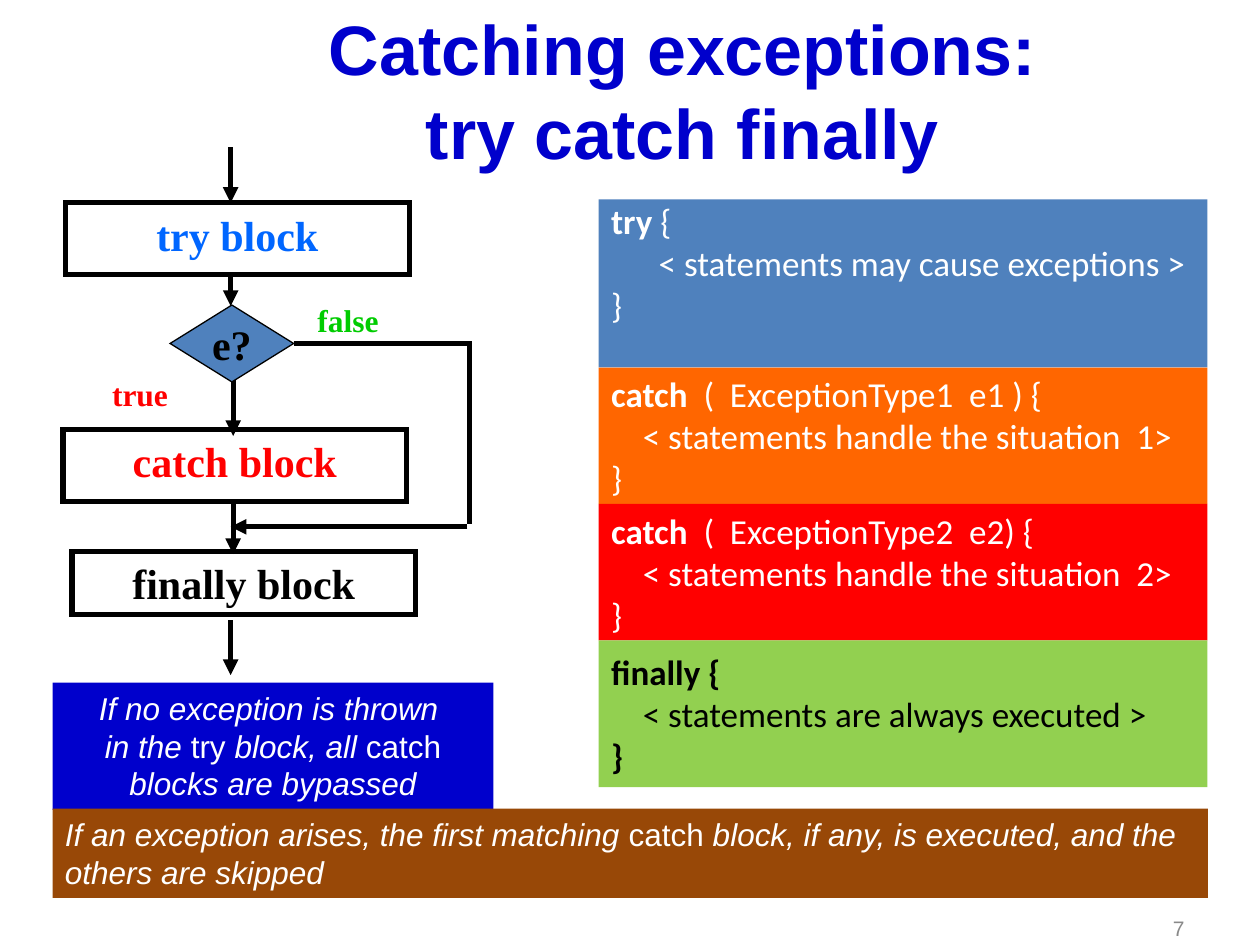
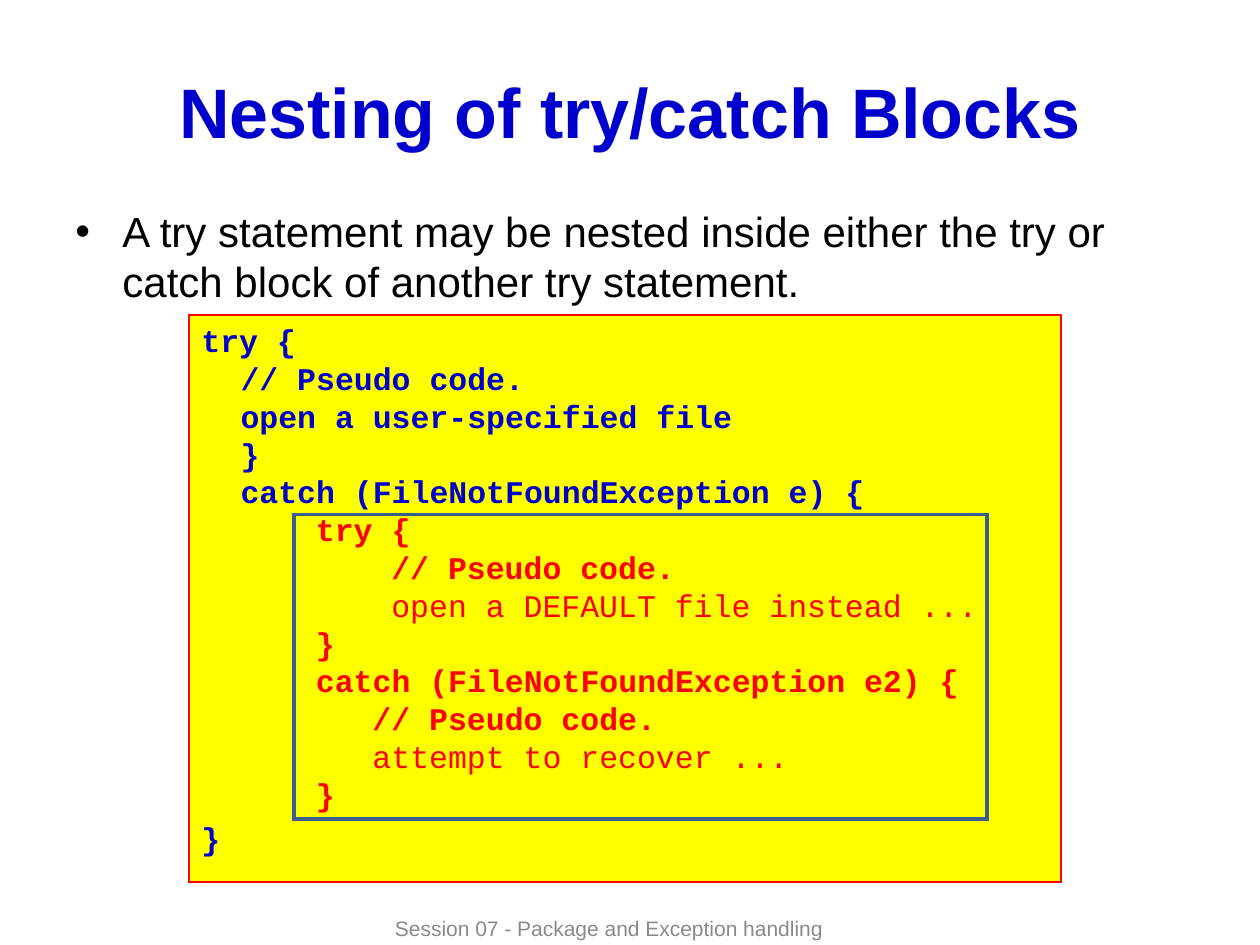
from dataclasses import dataclass, replace

from lxml import etree
from pptx import Presentation
from pptx.dml.color import RGBColor
from pptx.enum.shapes import MSO_CONNECTOR, MSO_SHAPE
from pptx.enum.text import MSO_ANCHOR, PP_ALIGN
from pptx.oxml.ns import qn
from pptx.util import Cm, Pt

RECT, DIAMOND = MSO_SHAPE.RECTANGLE, MSO_SHAPE.DIAMOND
STRAIGHT = MSO_CONNECTOR.STRAIGHT
TOP, MIDDLE = MSO_ANCHOR.TOP, MSO_ANCHOR.MIDDLE
LEFT, CENTER, RIGHT = PP_ALIGN.LEFT, PP_ALIGN.CENTER, PP_ALIGN.RIGHT

COLORS = {
    "navy": "0000CC", "black": "000000", "white": "FFFFFF", "gray": "898989",
    "steel": "4F81BD", "steel_dark": "3A5F8C", "orange": "FF6600",
    "red": "FF0000", "lime": "92D050", "blue": "0066FF", "green": "00CC00",
    "brown": "984807", "yellow": "FFFF00",
}


@dataclass(frozen=True)
class Style:
    font: str
    size: float
    color: str
    bold: bool = False
    italic: bool = False
    align: PP_ALIGN = LEFT


TITLE = Style("Arial", 40, "navy", bold=True, align=CENTER)
FOOTER = Style("Arial", 12, "gray", align=CENTER)
BODY = Style("Arial", 24, "black")
NOTE = Style("Arial", 18, "white", italic=True)
SYNTAX = Style("Calibri", 20, "white")
FLOW = Style("Times New Roman", 24, "black", bold=True, align=CENTER)
FLOW_LABEL = replace(FLOW, size=18, align=LEFT)
CODE = Style("Courier New", 18, "navy", bold=True)


def rgb(name):
    return RGBColor.from_string(COLORS[name])


def add_para(frame, text, style, indent=0.0):
    para = frame.paragraphs[0]
    if para.runs:
        para = frame.add_paragraph()
    para.alignment = style.align
    para.line_spacing = Pt(style.size * 1.2)
    font = para.font
    font.name, font.size = style.font, Pt(style.size)
    font.bold, font.italic = style.bold, style.italic
    font.color.rgb = rgb(style.color)
    if indent:
        para._p.get_or_add_pPr().set("marL", str(Cm(indent)))
    para.text = text
    return para


def add_span(para, text, bold=None, italic=None):
    span = para.add_run()
    span.text = text
    span.font.bold, span.font.italic = bold, italic


def set_frame(shape, anchor):
    frame = shape.text_frame
    frame.word_wrap = True
    frame.vertical_anchor = anchor
    return frame


def add_text(page, box, anchor=TOP):
    return set_frame(page.shapes.add_textbox(*map(Cm, box)), anchor)


def add_box(page, box, fill=None, line=None, width=0.75, kind=RECT, anchor=TOP):
    shape = page.shapes.add_shape(kind, *map(Cm, box))
    shape.shadow.inherit = False
    if fill:
        shape.fill.solid()
        shape.fill.fore_color.rgb = rgb(fill)
    else:
        shape.fill.background()
    if line:
        shape.line.color.rgb = rgb(line)
        shape.line.width = Pt(width)
        etree.SubElement(shape.line._get_or_add_ln(), qn("a:miter"), lim="800000")
    else:
        shape.line.fill.background()
    return set_frame(shape, anchor)


def add_line(page, start, end, arrow=True):
    line = page.shapes.add_connector(STRAIGHT, *map(Cm, start + end))
    line.line.color.rgb = rgb("black")
    line.line.width = Pt(3)
    if arrow:
        etree.SubElement(line.line._get_or_add_ln(), qn("a:tailEnd"), type="triangle")
    etree.SubElement(line._element.spPr, qn("a:effectLst"))


def add_title(page, box, text):
    add_para(add_text(page, box, MIDDLE), text, TITLE)


def add_footer(page, left, width, text, align=CENTER):
    frame = add_text(page, (left, 18.36, width, 0.69), MIDDLE)
    add_para(frame, text, replace(FOOTER, align=align))


def draw_flowchart(page, left, top):
    def at(x, y):
        return left + x, top + y

    for x, y, height, text, color in (
        (0.05, 1.12, 1.45, "try block", "blue"),
        (0, 5.69, 1.45, "catch block", "red"),
        (0.18, 8.15, 1.27, "finally block", "black"),
    ):
        frame = add_box(page, at(x, y) + (6.93, height), line="black", width=3)
        add_para(frame, text, replace(FLOW, color=color))

    for start, end, arrow in (
        ((3.38, 0), (3.38, 1.12), True),
        ((3.38, 2.54), (3.38, 3.2), True),
        ((3.43, 4.67), (3.43, 5.82), True),
        ((3.43, 7.11), (3.43, 8.2), True),
        ((3.38, 9.53), (3.38, 10.64), True),
        ((4.65, 3.96), (8.25, 3.96), False),
        ((8.2, 3.94), (8.2, 7.6), False),
        ((8.15, 7.65), (3.38, 7.65), True),
    ):
        add_line(page, at(*start), at(*end), arrow)

    decision = add_box(page, at(2.16, 3.18) + (2.49, 1.55), "steel", "black",
                       kind=DIAMOND, anchor=MIDDLE)
    decision.word_wrap = False
    add_para(decision, "e?", FLOW)
    for x, y, text, color in ((4.88, 2.97, "false", "green"),
                              (0.74, 4.47, "true", "red")):
        frame = add_text(page, at(x, y) + (3.25, 1.05))
        add_para(frame, text, replace(FLOW_LABEL, color=color))


def draw_syntax(page, left, top, width):
    clauses = (
        (3.39, "steel", "try ", "{", 0.96, "< statements may cause exceptions >"),
        (2.75, "orange", "catch", "  (  ExceptionType1  e1 ) {", 0.64,
         "< statements handle the situation  1>"),
        (2.75, "red", "catch", "  (  ExceptionType2  e2) {", 0.64,
         "< statements handle the situation  2>"),
        (2.96, "lime", "finally {", "", 0.64, "< statements are always executed >"),
    )
    for height, fill, keyword, rest, indent, statement in clauses:
        frame = add_box(page, (left, top, width, height), fill, anchor=MIDDLE)
        frame.margin_top = 0
        frame.margin_bottom = Cm(0.85 if keyword == "try " else 0)
        is_finally = not rest
        style = replace(SYNTAX, color="black" if is_finally else "white")
        para = add_para(frame, keyword, replace(style, bold=True))
        if rest:
            add_span(para, rest, bold=False)
        add_para(frame, statement, style, indent)
        add_para(frame, "}", replace(style, bold=is_finally))
        top += height


def draw_notes(page, left, top):
    bypass = add_box(page, (left, top, 8.89, 2.57), "navy")
    centered = replace(NOTE, align=CENTER)
    add_para(bypass, "If no exception is thrown ", centered)
    para = add_para(bypass, "in the ", centered)
    add_span(para, "try ", italic=False)
    add_span(para, "block, all ", italic=True)
    add_span(para, "catch ", italic=False)
    add_span(para, "blocks are bypassed", italic=True)

    matching = add_box(page, (left, top + 2.54, 23.29, 1.8), "brown")
    para = add_para(matching, "If an exception arises, the first matching ", NOTE)
    add_span(para, "catch ", italic=False)
    add_span(para, "block, if any, is executed, and the others are skipped", italic=True)


def draw_bullet(page, box, text):
    para = add_para(add_text(page, box), text, BODY, 0.95)
    properties = para._p.get_or_add_pPr()
    properties.set("indent", str(-Cm(0.95)))
    defaults = properties.find(qn("a:defRPr"))
    defaults.addprevious(etree.Element(qn("a:buFont"), typeface=BODY.font))
    defaults.addprevious(etree.Element(qn("a:buChar"), char="•"))


def draw_nested_code(page, left, top):
    frame = add_box(page, (left, top, 17.58, 11.43), "yellow", "red")
    outer, inner = 0.79, 2.31
    nested = replace(CODE, color="red")
    plain = replace(nested, bold=False)
    for text, style, indent in (
        ("try {", CODE, 0),
        ("// Pseudo code.", CODE, outer),
        ("open a user-specified file", CODE, outer),
        ("}", CODE, outer),
        ("catch (FileNotFoundException e) {", CODE, outer),
        ("try {", nested, inner),
        ("// Pseudo code.", nested, inner + 1.52),
        ("open a DEFAULT file instead ...", plain, inner + 1.52),
        ("}", nested, inner),
        ("catch (FileNotFoundException e2) {", nested, inner),
        ("// Pseudo code.", nested, inner + 1.14),
        ("attempt to recover ...", plain, inner + 1.14),
        ("}", nested, inner),
    ):
        add_para(frame, text, style, indent)
    add_para(frame, "}", CODE).space_before = Pt(3.6)
    add_box(page, (left + 2.12, top + 4.02, 13.97, 6.14), line="steel_dark", width=2)


def build_try_catch_finally(page):
    add_title(page, (4.02, 0, 19.47, 3.6), "Catching exceptions:\vtry catch finally")
    draw_syntax(page, 12.07, 4.02, 12.27)
    draw_flowchart(page, 1.27, 2.97)
    add_footer(page, 21.38, 2.75, "7", RIGHT)
    draw_notes(page, 1.06, 13.76)


def build_nesting(page):
    add_footer(page, 4.87, 14.82, "Session 07 - Package and Exception handling")
    add_title(page, (1.27, 0.64, 22.86, 3.18), "Nesting of try/catch Blocks")
    draw_bullet(page, (1.27, 4.02, 22.86, 2.33),
                "A try statement may be nested inside either the try or "
                "catch block of another try statement.")
    draw_nested_code(page, 3.81, 6.35)


deck = Presentation()
deck.slide_width, deck.slide_height = Cm(25.4), Cm(19.05)
for build in (build_try_catch_finally, build_nesting):
    build(deck.slides.add_slide(deck.slide_layouts[6]))
deck.save("out.pptx")
